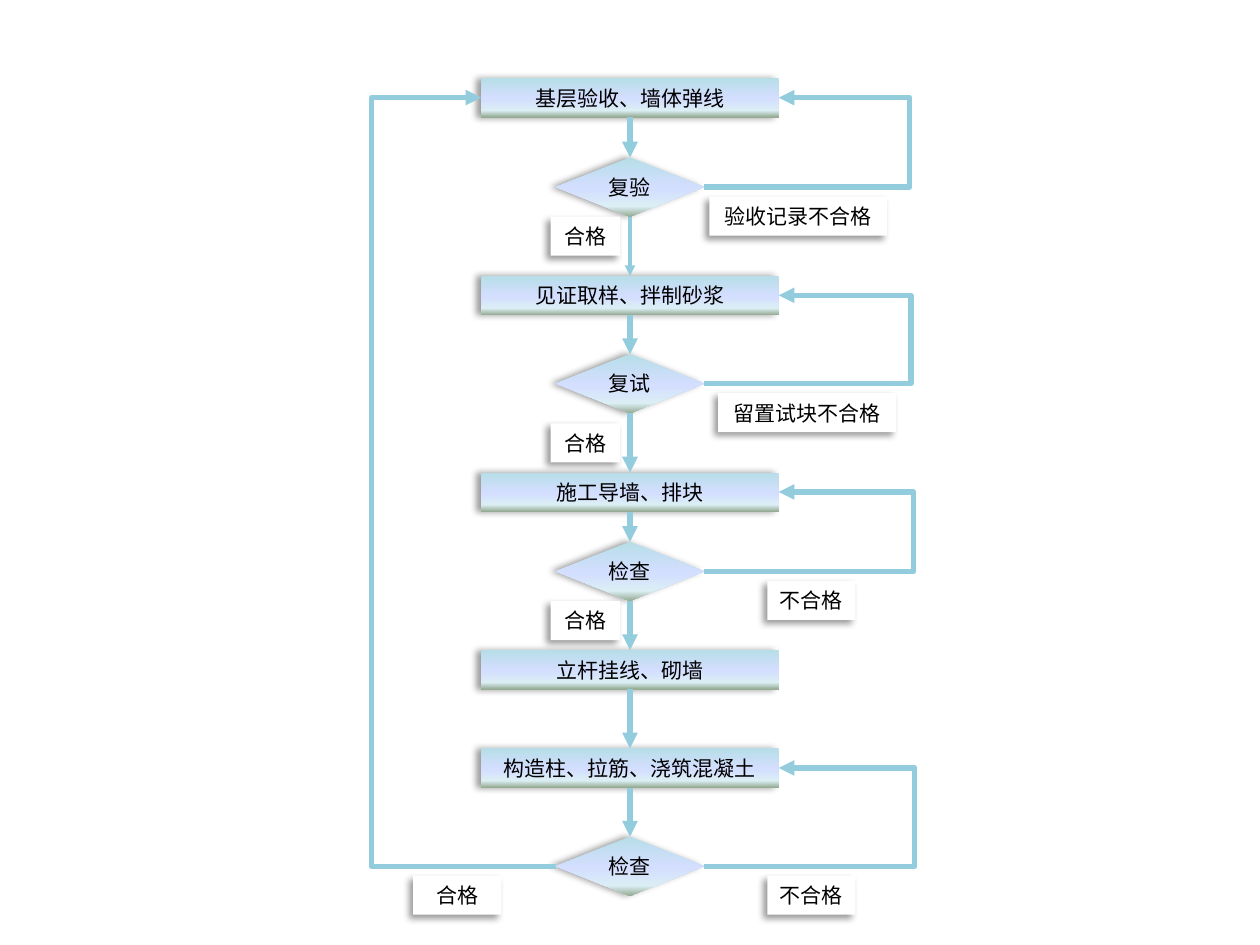
from itertools import pairwise

from lxml import etree
from pptx import Presentation
from pptx.dml.color import RGBColor
from pptx.enum import shapes, text
from pptx.oxml import ns
from pptx.util import Inches, Pt

MID = 5
TALL = 0.31
BLUE = "93CDDD"
STOPS = [(0, "B7DEE8"), (53, "D4DEFF"), (83, "DBEEF4"), (100, "96AB94")]
TOP, LEFT, BOTTOM, RIGHT = range(4)

# kind, top, wording
STEPS = [
    ("box", 0.62, "基层验收、墙体弹线"),
    ("test", 1.25, "复验"),
    ("box", 2.19, "见证取样、拌制砂浆"),
    ("test", 2.81, "复试"),
    ("box", 3.75, "施工导墙、排块"),
    ("test", 4.3, "检查"),
    ("box", 5.16, "立杆挂线、砌墙"),
    ("box", 5.94, "构造柱、拉筋、浇筑混凝土"),
    ("test", 6.64, "检查"),
]
KINDS = {
    "box": (shapes.MSO_SHAPE.RECTANGLE, 2.36, TALL),
    "test": (shapes.MSO_SHAPE.DIAMOND, 1.18, 0.47),
}
# test, box it returns to, side of the box, x of the far turn
LOOPS = [
    (8, 0, LEFT, 2.95),
    (1, 0, RIGHT, 7.22),
    (3, 2, RIGHT, 7.23),
    (5, 4, RIGHT, 7.25),
    (8, 7, RIGHT, 7.26),
]
# left, top, width, wording
LABELS = [
    (4.37, 1.72, 0.55, "合格"),
    (4.37, 3.36, 0.55, "合格"),
    (4.37, 4.77, 0.55, "合格"),
    (6.09, 4.61, 0.7, "不合格"),
    (6.09, 6.95, 0.7, "不合格"),
    (5.63, 1.56, 1.41, "验收记录不合格"),
    (5.7, 3.12, 1.41, "留置试块不合格"),
    (3.28, 6.95, 0.7, "合格"),
]


def color(code):
    return RGBColor.from_string(code)


def add(node, tag, **attrs):
    return etree.SubElement(node, ns.qn(tag), {k: str(v) for k, v in attrs.items()})


def write(shape, words, size=12, font="Calibri", ink="000000"):
    frame = shape.text_frame
    frame.word_wrap = True
    frame.vertical_anchor = text.MSO_ANCHOR.MIDDLE
    frame.margin_left = frame.margin_right = 0
    frame.margin_top = frame.margin_bottom = 0
    para = frame.paragraphs[0]
    para.alignment = text.PP_ALIGN.CENTER
    run = para.add_run()
    run.text = words
    run.font.size = Pt(size)
    run.font.name = font
    run.font.color.rgb = color(ink)


def shade(shape, angle):
    """Give the shape a soft outer shadow that falls at the angle."""
    shape.shadow.inherit = False
    effects = shape._element.spPr.find(ns.qn("a:effectLst"))
    outer = add(effects, "a:outerShdw", blurRad=Pt(4), dist=Pt(3),
                dir=angle * 60000, algn="ctr", rotWithShape=0)
    add(add(outer, "a:srgbClr", val="000000"), "a:alpha", val=40000)


def blend(shape):
    """Fill the shape from top to bottom with the colour stops."""
    shape.fill.gradient()
    shape.fill.gradient_angle = 270
    stops = shape._element.spPr.find(".//" + ns.qn("a:gsLst"))
    for old in list(stops):
        stops.remove(old)
    for place, code in STOPS:
        add(add(stops, "a:gs", pos=place * 1000), "a:srgbClr", val=code)


def block(slide, form, left, top, wide, tall, words, angle):
    shape = slide.shapes.add_shape(
        form, Inches(left), Inches(top), Inches(wide), Inches(tall))
    shape.line.fill.background()
    shade(shape, angle)
    write(shape, words)
    return shape


def step(slide, kind, top, words):
    form, wide, tall = KINDS[kind]
    shape = block(slide, form, MID - wide / 2, top, wide, tall, words, 180)
    blend(shape)
    return shape


def label(slide, left, top, wide, words):
    shape = block(slide, shapes.MSO_SHAPE.RECTANGLE, left, top, wide, TALL, words, 135)
    shape.fill.solid()
    shape.fill.fore_color.rgb = color("FFFFFF")


def arrow(slide, kind, start, out, end, into, width=3):
    line = slide.shapes.add_connector(kind, 0, 0, 0, 0)
    line.begin_connect(start, out)
    line.end_connect(end, into)
    line.line.color.rgb = color(BLUE)
    line.line.width = Pt(width)
    add(line.line._get_or_add_ln(), "a:tailEnd", type="triangle")
    add(line._element.spPr, "a:effectLst")
    return line


def loop(slide, start, end, side, turn):
    """Lead an elbow arrow back to an earlier box by way of x = turn."""
    line = arrow(slide, shapes.MSO_CONNECTOR.ELBOW, start, side, end, side)
    ratio = (Inches(turn) - line.begin_x) / (line.end_x - line.begin_x)
    geom = line._element.spPr.find(ns.qn("a:prstGeom"))
    add(geom.find(ns.qn("a:avLst")), "a:gd", name="adj1",
        fmla=f"val {round(ratio * 100000)}")


def main():
    deck = Presentation()
    deck.slide_width, deck.slide_height = Inches(10), Inches(7.5)
    slide = deck.slides.add_slide(deck.slide_layouts[6])

    flow = [step(slide, *item) for item in STEPS]
    for start, end, side, turn in LOOPS:
        loop(slide, flow[start], flow[end], side, turn)
    for rank, (start, end) in enumerate(pairwise(flow)):
        arrow(slide, shapes.MSO_CONNECTOR.STRAIGHT, start, BOTTOM, end, TOP,
              width=2 if rank == 1 else 3)
    for item in LABELS:
        label(slide, *item)

    deck.save("out.pptx")


if __name__ == "__main__":
    main()
